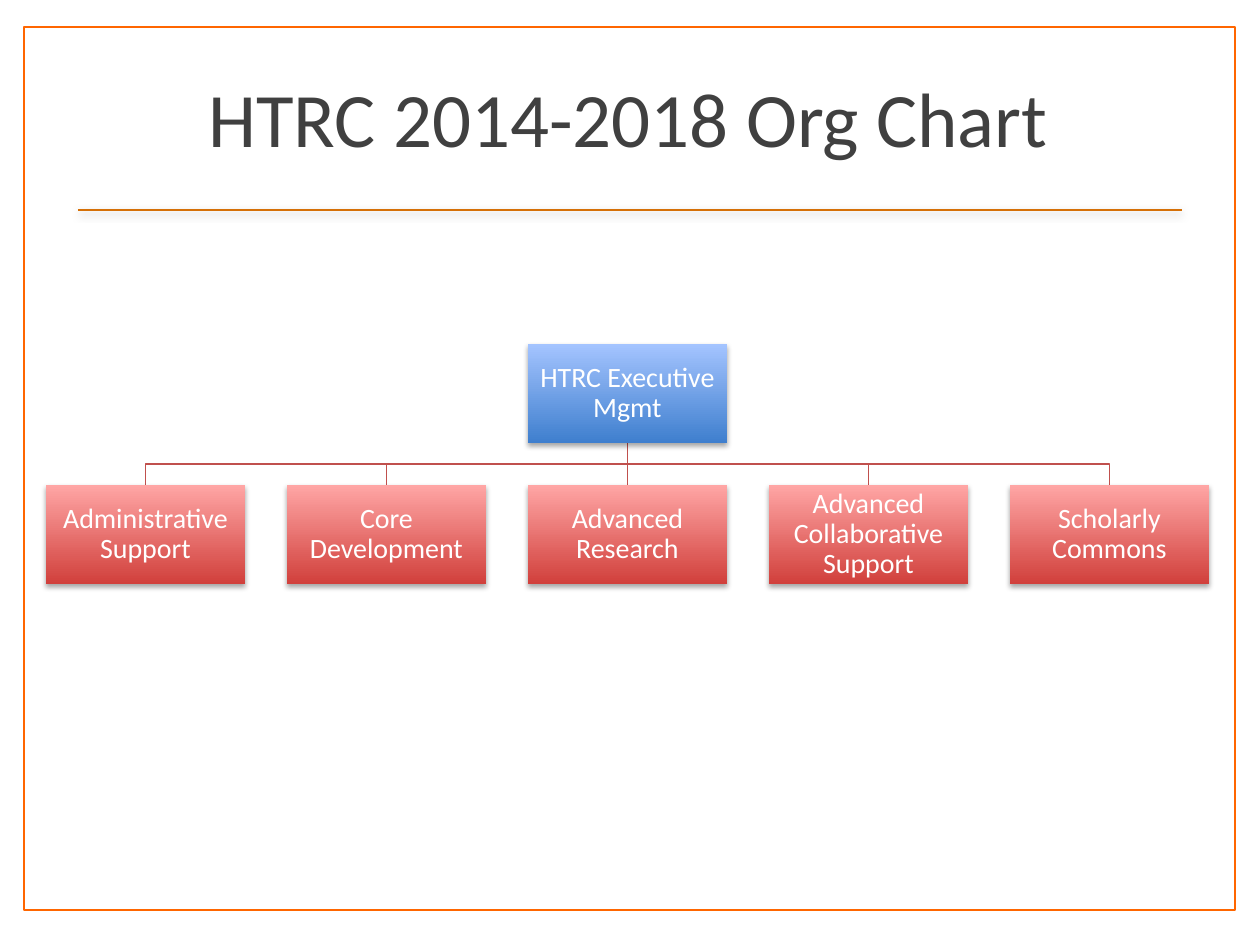
from dataclasses import dataclass

from lxml.etree import SubElement
from pptx import Presentation
from pptx.dml.color import RGBColor as Rgb
from pptx.enum.shapes import MSO_CONNECTOR as Connector, MSO_SHAPE as Shape
from pptx.enum.text import MSO_ANCHOR as Anchor, PP_ALIGN as Align
from pptx.oxml.ns import qn
from pptx.util import Emu, Pt


@dataclass(frozen=True)
class Theme:
    """Colours, font and type sizes of the slide."""
    font: str = "Calibri"
    title_size: int = 44
    unit_size: int = 16
    paper: str = "FFFFFF"
    title: str = "404040"
    frame: str = "FF6600"
    rule: str = "D57007"
    link: str = "C0504D"
    executive: tuple = ("3F7FCE", "A4C4FF")
    team: tuple = ("D1403C", "FFA6A5")


THEME = Theme()
EXECUTIVE = "HTRC Executive Mgmt"
TEAMS = ("Administrative Support", "Core Development", "Advanced Research",
         "Advanced Collaborative Support", "Scholarly Commons")
UNIT_W, UNIT_H = 199, 99
FIRST_LEFT, PITCH = 46, 241
EXECUTIVE_TOP, TEAM_TOP = 344, 485


def px(length):
    """Turn pixels into EMU."""
    return Emu(round(length * 914400 / 126))


def style_line(line, color, width):
    """Give an outline its colour and width in points."""
    line.color.rgb = Rgb.from_string(color)
    line.width = Pt(width)


def clear_effects(connector):
    """Give a connector an empty effect list and return it."""
    return SubElement(connector._element.spPr, qn("a:effectLst"))


def add_shadow(effects, blur):
    """Put a soft downward shadow into an effect list."""
    outer = SubElement(effects, qn("a:outerShdw"), blurRad=str(Pt(blur)),
                       dist=str(Pt(1.8)), dir="5400000", rotWithShape="0")
    black = SubElement(outer, qn("a:srgbClr"), val="000000")
    SubElement(black, qn("a:alpha"), val="35000")


def format_text(frame, text, size, color):
    """Write centred text with the theme font."""
    frame.text = text
    frame.word_wrap = True
    frame.vertical_anchor = Anchor.MIDDLE
    line = frame.paragraphs[0]
    line.alignment = Align.CENTER
    font = line.runs[0].font
    font.name, font.size = THEME.font, Pt(size)
    font.color.rgb = Rgb.from_string(color)


def add_frame(slide):
    """Draw the slide border behind everything else."""
    border = slide.shapes.add_shape(Shape.RECTANGLE, px(24), px(27), px(1211), px(883))
    border.shadow.inherit = False
    border.fill.solid()
    border.fill.fore_color.rgb = Rgb.from_string(THEME.paper)
    style_line(border.line, THEME.frame, 1)
    slide.shapes._spTree.insert(2, border._element)


def add_title(slide, text):
    """Place the title and the rule below it."""
    title = slide.shapes.title
    title.left, title.top, title.width, title.height = map(px, (78, 38, 1101, 158))
    format_text(title.text_frame, text, THEME.title_size, THEME.title)
    rule = slide.shapes.add_connector(Connector.STRAIGHT, px(78), px(210), px(1182), px(210))
    style_line(rule.line, THEME.rule, 1)
    add_shadow(clear_effects(rule), 5)


def add_link(slide, parent_x, team_x):
    """Link the executive to one team, with an elbow if needed."""
    start, end = EXECUTIVE_TOP + UNIT_H, TEAM_TOP
    if parent_x == team_x:
        link = slide.shapes.add_connector(
            Connector.STRAIGHT, px(parent_x), px(start), px(team_x), px(end))
        clear_effects(link)
    else:
        middle = (start + end) / 2
        corners = [(parent_x, middle), (team_x, middle), (team_x, end)]
        builder = slide.shapes.build_freeform(px(parent_x), px(start))
        builder.add_line_segments([(px(x), px(y)) for x, y in corners], close=False)
        link = builder.convert_to_shape()
        link.shadow.inherit = False
        link.fill.background()
    style_line(link.line, THEME.link, 0.75)


def add_unit(slide, name, left, top, colors):
    """Draw one organisational unit with its name."""
    unit = slide.shapes.add_shape(Shape.RECTANGLE, px(left), px(top), px(UNIT_W), px(UNIT_H))
    unit.line.fill.background()
    unit.fill.gradient()
    unit.fill.gradient_angle = 90
    for stop, color in zip(unit.fill.gradient_stops, colors):
        stop.color.rgb = Rgb.from_string(color)
    unit.shadow.inherit = False
    add_shadow(unit._element.spPr.find(qn("a:effectLst")), 3.1)
    label = unit.text_frame
    label.margin_left = label.margin_right = label.margin_top = label.margin_bottom = px(1)
    format_text(label, name, THEME.unit_size, THEME.paper)
    label.paragraphs[0].line_spacing = 0.9


def add_org_chart(slide):
    """Draw the executive above an even row of teams."""
    lefts = [FIRST_LEFT + PITCH * i for i in range(len(TEAMS))]
    executive_left = lefts[len(lefts) // 2]
    for left in lefts:
        add_link(slide, executive_left + UNIT_W / 2, left + UNIT_W / 2)
    add_unit(slide, EXECUTIVE, executive_left, EXECUTIVE_TOP, THEME.executive)
    for team, left in zip(TEAMS, lefts):
        add_unit(slide, team, left, TEAM_TOP, THEME.team)


def main():
    """Build the slide and save it."""
    deck = Presentation()
    deck.slide_width, deck.slide_height = px(1260), px(945)
    slide = deck.slides.add_slide(deck.slide_layouts[5])
    add_frame(slide)
    add_title(slide, "HTRC 2014-2018 Org Chart")
    add_org_chart(slide)
    deck.save("out.pptx")


if __name__ == "__main__":
    main()
